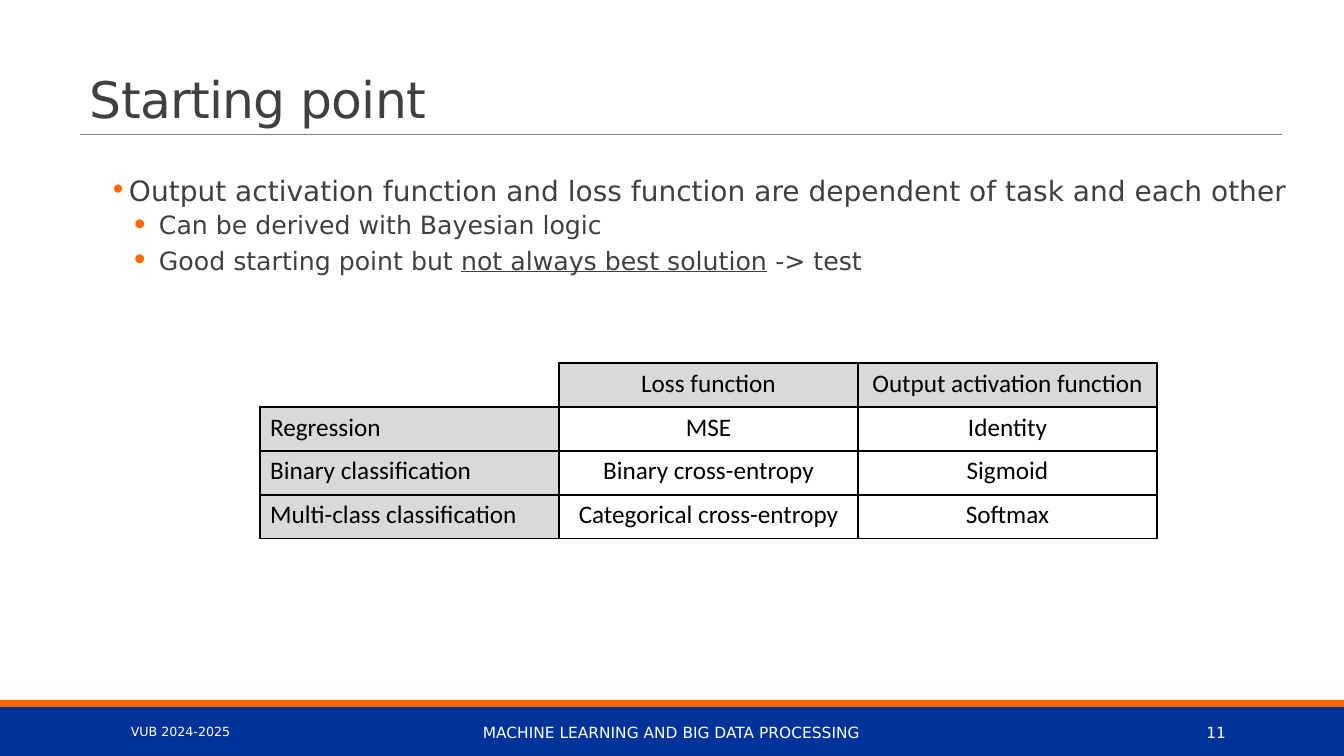
"""Build the slide on starting points for loss and output activation functions."""
from dataclasses import dataclass

from lxml.etree import SubElement
from pptx import Presentation
from pptx.dml.color import RGBColor
from pptx.enum.shapes import MSO_CONNECTOR, MSO_SHAPE
from pptx.enum.text import MSO_ANCHOR, PP_ALIGN
from pptx.oxml.ns import qn
from pptx.slide import Slide
from pptx.table import _Cell
from pptx.text.text import TextFrame, _Paragraph
from pptx.util import Emu, Pt

PIXELS_PER_INCH = 100.8
COLORS = {
    "blue": "003399",
    "orange": "FF6600",
    "rule": "808080",
    "text": "404040",
    "white": "FFFFFF",
    "black": "000000",
    "header": "D9D9D9",
}
SLIDE_FONT = "DejaVu Sans"
TABLE_FONT = "Calibri"


@dataclass(frozen=True)
class Area:
    left: int
    top: int
    width: int
    height: int


@dataclass(frozen=True)
class Band:
    area: Area
    color: str


@dataclass(frozen=True)
class Label:
    text: str
    area: Area
    size: int
    align: PP_ALIGN


@dataclass(frozen=True)
class BulletLevel:
    size: int
    margin: int
    hanging: int
    before: int
    after: int
    bullet_percent: int


@dataclass(frozen=True)
class Bullet:
    level: BulletLevel
    spans: tuple[str, ...]
    underlined: str = ""


FIRST_LEVEL = BulletLevel(20, 19, 19, 12, 2, 100)
SECOND_LEVEL = BulletLevel(18, 49, 28, 2, 4, 120)

BANDS = (
    Band(Area(0, 707, 1344, 49), "blue"),
    Band(Area(0, 700, 1344, 7), "orange"),
)
FOOTERS = (
    Label("VUB 2024-2025", Area(121, 712, 285, 40), 9, PP_ALIGN.LEFT),
    Label("MACHINE LEARNING AND BIG DATA PROCESSING",
          Area(406, 712, 531, 40), 11, PP_ALIGN.CENTER),
    Label("11", Area(1092, 712, 144, 40), 11, PP_ALIGN.RIGHT),
)
BULLETS = (
    Bullet(FIRST_LEVEL, ("Output activation function and loss function are "
                         "dependent of task and each other",)),
    Bullet(SECOND_LEVEL, ("Can be derived with Bayesian logic",)),
    Bullet(SECOND_LEVEL,
           ("Good starting point but ", "not always best solution", " -> test"),
           underlined="not always best solution"),
)
TABLE_ROWS = (
    ("", "Loss function", "Output activation function"),
    ("Regression", "MSE", "Identity"),
    ("Binary classification", "Binary cross-entropy", "Sigmoid"),
    ("Multi-class classification", "Categorical cross-entropy", "Softmax"),
)
COLUMN_WIDTH = 299
ROW_HEIGHT = 44


def px(length: int) -> Emu:
    """Turn pixels into EMU."""
    return Emu(round(length * 914400 / PIXELS_PER_INCH))


def rgb(color: str) -> RGBColor:
    """Look up a named colour."""
    return RGBColor.from_string(COLORS[color])


def place(area: Area) -> tuple[Emu, Emu, Emu, Emu]:
    """Give left, top, width and height in EMU."""
    return px(area.left), px(area.top), px(area.width), px(area.height)


def add_text(para: _Paragraph, text: str, *, size: int, color: str = "text",
             font: str = SLIDE_FONT, underline: bool = False,
             tracking: float = 0) -> None:
    """Append formatted text to a paragraph."""
    span = para.add_run()
    span.text = text
    span.font.size = Pt(size)
    span.font.name = font
    span.font.color.rgb = rgb(color)
    span.font.underline = underline
    if tracking:
        span.font._element.set("spc", str(round(tracking * 100)))


def add_frame(page: Slide, area: Area, anchor: MSO_ANCHOR) -> TextFrame:
    """Add a wrapping text box and return its frame."""
    frame = page.shapes.add_textbox(*place(area)).text_frame
    frame.word_wrap = True
    frame.vertical_anchor = anchor
    return frame


def add_band(page: Slide, band: Band) -> None:
    """Draw a plain filled band."""
    box = page.shapes.add_shape(MSO_SHAPE.RECTANGLE, *place(band.area))
    box.shadow.inherit = False
    box.fill.solid()
    box.fill.fore_color.rgb = rgb(band.color)
    box.line.fill.background()


def add_title(page: Slide, text: str) -> None:
    """Write the title and the rule below it."""
    rule = page.shapes.add_connector(
        MSO_CONNECTOR.STRAIGHT, px(80), px(134), px(1282), px(134))
    rule.line.color.rgb = rgb("rule")
    rule.line.width = Pt(0.5)
    SubElement(rule._element.spPr, qn("a:effectLst"))
    para = add_frame(page, Area(80, -26, 1202, 160), MSO_ANCHOR.BOTTOM).paragraphs[0]
    para.line_spacing = 0.85
    add_text(para, text, size=36, tracking=-0.5)


def add_bullets(page: Slide, area: Area, bullets: tuple[Bullet, ...]) -> None:
    """Write the bulleted list."""
    frame = add_frame(page, area, MSO_ANCHOR.TOP)
    frame.margin_left = frame.margin_right = 0
    for index, bullet in enumerate(bullets):
        para = frame.add_paragraph() if index else frame.paragraphs[0]
        level = bullet.level
        para.line_spacing = 0.9
        para.space_before, para.space_after = Pt(level.before), Pt(level.after)
        properties = para._p.get_or_add_pPr()
        properties.set("marL", str(px(level.margin)))
        properties.set("indent", str(-px(level.hanging)))
        color = SubElement(properties, qn("a:buClr"))
        SubElement(color, qn("a:srgbClr"), val=COLORS["orange"])
        SubElement(properties, qn("a:buSzPct"), val=str(level.bullet_percent * 1000))
        SubElement(properties, qn("a:buFont"), typeface=SLIDE_FONT)
        SubElement(properties, qn("a:buChar"), char="•")
        for text in bullet.spans:
            add_text(para, text, size=level.size, underline=text == bullet.underlined)


def set_borders(cell: _Cell, visible: str) -> None:
    """Draw the named sides of a cell in black and clear the others."""
    properties = cell._tc.get_or_add_tcPr()
    for side in "LRTB":
        border = SubElement(properties, qn(f"a:ln{side}"), w=str(Pt(1)))
        if side in visible:
            fill = SubElement(border, qn("a:solidFill"))
            SubElement(fill, qn("a:srgbClr"), val=COLORS["black"])
        else:
            SubElement(border, qn("a:noFill"))


def add_function_table(page: Slide, left: int, top: int) -> None:
    """Add the table of tasks with their loss and activation functions."""
    area = Area(left, top, COLUMN_WIDTH * len(TABLE_ROWS[0]), ROW_HEIGHT * len(TABLE_ROWS))
    table = page.shapes.add_table(len(TABLE_ROWS), len(TABLE_ROWS[0]), *place(area)).table
    table.first_row = table.horz_banding = False
    for row, texts in enumerate(TABLE_ROWS):
        for column, text in enumerate(texts):
            cell = table.cell(row, column)
            set_borders(cell, "LRTB" if text else "RB")
            if text and (row == 0 or column == 0):
                cell.fill.solid()
                cell.fill.fore_color.rgb = rgb("header")
            else:
                cell.fill.background()
            if text:
                para = cell.text_frame.paragraphs[0]
                para.alignment = PP_ALIGN.CENTER if column else PP_ALIGN.LEFT
                add_text(para, text, size=18, color="black", font=TABLE_FONT)


def main() -> None:
    """Build and save the deck."""
    deck = Presentation()
    deck.slide_width, deck.slide_height = px(1344), px(756)
    page = deck.slides.add_slide(deck.slide_layouts[6])
    for band in BANDS:
        add_band(page, band)
    add_title(page, "Starting point")
    add_bullets(page, Area(110, 172, 1202, 489), BULLETS)
    for footer in FOOTERS:
        para = add_frame(page, footer.area, MSO_ANCHOR.MIDDLE).paragraphs[0]
        para.alignment = footer.align
        add_text(para, footer.text, size=footer.size, color="white")
    add_function_table(page, 260, 363)
    deck.save("out.pptx")


if __name__ == "__main__":
    main()
